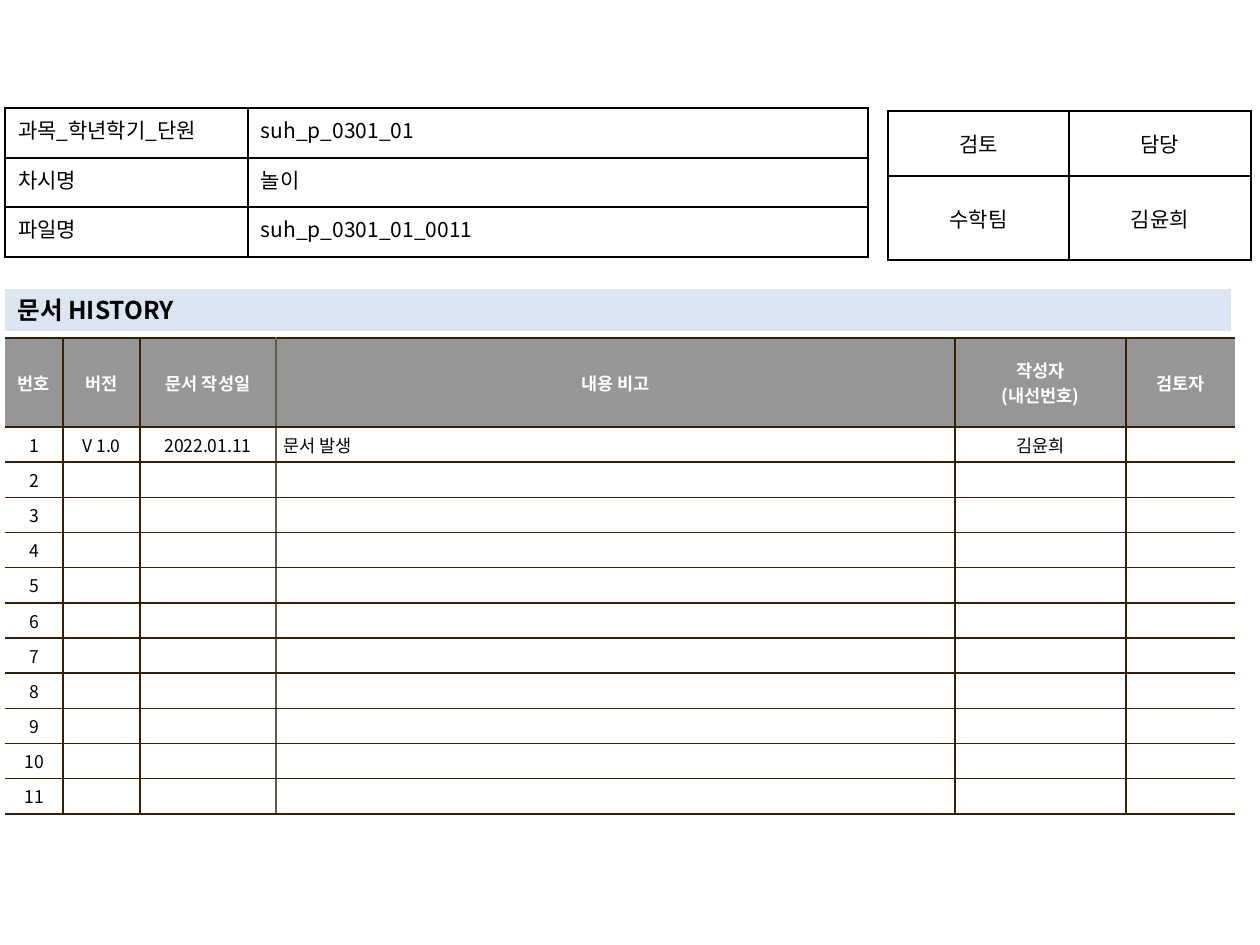
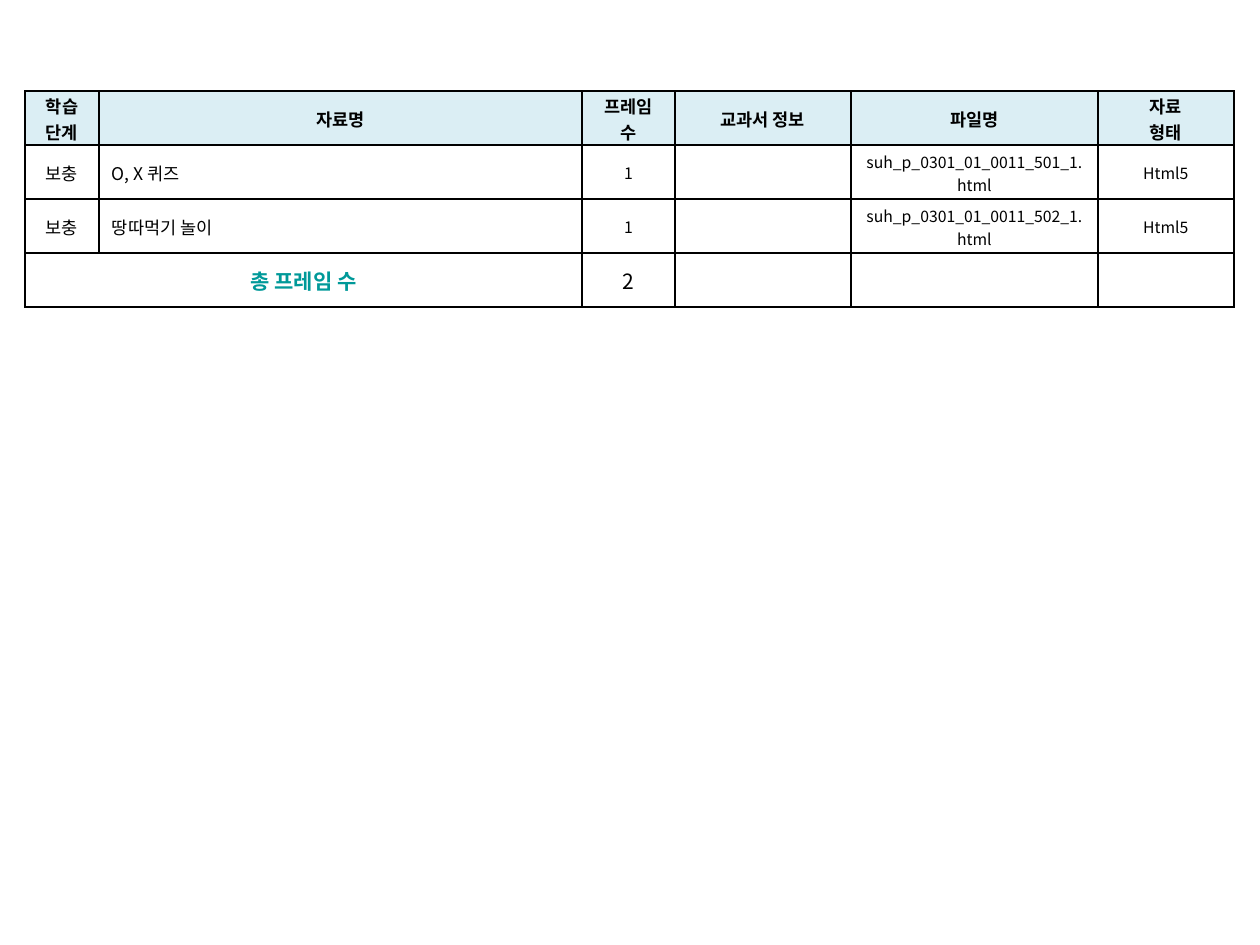
from dataclasses import dataclass, replace

from lxml import etree
from pptx import Presentation
from pptx.dml.color import RGBColor
from pptx.enum.text import MSO_ANCHOR, MSO_AUTO_SIZE, PP_ALIGN
from pptx.oxml.ns import qn
from pptx.util import Emu, Pt

LEFT, CENTER = PP_ALIGN.LEFT, PP_ALIGN.CENTER
TOP, MIDDLE = MSO_ANCHOR.TOP, MSO_ANCHOR.MIDDLE
NO_AUTOFIT = MSO_AUTO_SIZE.NONE
TITLE_ONLY, BLANK = 5, 6
EMU_PER_PX = 914400 / 126


@dataclass(frozen=True)
class Theme:
    font: str = "Noto Sans CJK KR"
    black: str = "000000"
    white: str = "FFFFFF"
    brown: str = "362000"
    taupe: str = "645B4C"
    gray: str = "969696"
    band: str = "DCE6F2"
    aqua: str = "DBEEF4"
    teal: str = "009999"
    heading: int = 14
    label: int = 12
    body: int = 10
    small: int = 9
    rule: int = 1


THEME = Theme()


@dataclass(frozen=True)
class CellStyle:
    size: int = THEME.body
    color: str = THEME.black
    bold: bool = False
    fill: str = THEME.white
    align: PP_ALIGN = CENTER
    anchor: MSO_ANCHOR = MIDDLE
    margins: tuple = (13, 6, 13, 6)


def px(n):
    return Emu(round(n * EMU_PER_PX))


def rgb(color):
    return RGBColor.from_string(color)


def format_text(tf, style):
    for p in tf.paragraphs:
        p.alignment = style.align
        for r in p.runs:
            r.font.size = Pt(style.size)
            r.font.bold = style.bold
            r.font.name = THEME.font
            r.font.color.rgb = rgb(style.color)
            etree.SubElement(r.font._element, qn("a:ea"), typeface=THEME.font)
        if not p.runs:
            etree.SubElement(p._p, qn("a:endParaRPr"), sz=str(style.size * 100))


def set_borders(cell, colors):
    tc_pr = cell._tc.get_or_add_tcPr()
    for side, color in zip("LRTB", colors):
        ln = etree.SubElement(tc_pr, qn(f"a:ln{side}"), w=str(Pt(THEME.rule)))
        if color is None:
            etree.SubElement(ln, qn("a:noFill"))
        else:
            fill = etree.SubElement(ln, qn("a:solidFill"))
            etree.SubElement(fill, qn("a:srgbClr"), val=color)


def add_grid(slide, left, top, cols, rows, texts, style_at, verticals, horizontal):
    frame = slide.shapes.add_table(len(rows), len(cols), px(left), px(top),
                                   px(sum(cols)), px(sum(rows)))
    table = frame.table
    table.first_row = table.horz_banding = False
    for col, width in zip(table.columns, cols):
        col.width = px(width)
    for row, height in zip(table.rows, rows):
        row.height = px(height)
    for i, line in enumerate(texts):
        for j, text in enumerate(line):
            cell, style = table.cell(i, j), style_at(i, j)
            set_borders(cell, (verticals[j], verticals[j + 1], horizontal, horizontal))
            cell.fill.solid()
            cell.fill.fore_color.rgb = rgb(style.fill)
            cell.vertical_anchor = style.anchor
            (cell.margin_left, cell.margin_top,
             cell.margin_right, cell.margin_bottom) = map(px, style.margins)
            cell.text_frame.text = text
            format_text(cell.text_frame, style)
    return table


def add_lesson_info(slide, left, top):
    texts = [
        ("과목_학년학기_단원", "suh_p_0301_01"),
        ("차시명", "놀이"),
        ("파일명", "suh_p_0301_01_0011"),
    ]
    style = CellStyle(size=THEME.label, align=LEFT, anchor=TOP)
    add_grid(slide, left, top, (243, 620), (50, 49, 50), texts,
             lambda i, j: style, [THEME.black] * 3, THEME.black)


def add_review_box(slide, left, top):
    texts = [("검토", "담당"), ("수학팀", "김윤희")]
    style = CellStyle(size=THEME.label)
    add_grid(slide, left, top, (181, 182), (65, 84), texts,
             lambda i, j: style, [THEME.black] * 3, THEME.black)


def add_section_title(slide, left, top, width, height):
    sp = slide.shapes.title
    sp.left, sp.top, sp.width, sp.height = map(px, (left, top, width, height))
    sp.fill.solid()
    sp.fill.fore_color.rgb = rgb(THEME.band)
    tf = sp.text_frame
    tf.text = "문서 HISTORY"
    tf.auto_size = NO_AUTOFIT
    tf.vertical_anchor = MIDDLE
    tf.margin_top = tf.margin_bottom = 0
    format_text(tf, CellStyle(size=THEME.heading, bold=True, align=LEFT))


def add_history(slide, left, top):
    cols = (58, 77, 136, 679, 171, 109)
    entries = 11
    texts = [
        ("번호", "버전", "문서 작성일", "내용 비고", "작성자\n(내선번호)", "검토자"),
        ("1", "V 1.0", "2022.01.11", "문서 발생", "김윤희", ""),
    ]
    texts += [(str(n), "", "", "", "", "") for n in range(2, entries + 1)]
    body = CellStyle(margins=(8, 5, 8, 5))
    head = replace(body, color=THEME.white, bold=True, fill=THEME.gray)
    note = replace(body, align=LEFT)
    brown = THEME.brown

    def style_at(i, j):
        if i == 0:
            return head
        return note if j == 3 else body

    add_grid(slide, left, top, cols, [89] + [35] * entries, texts, style_at,
             (None, brown, brown, THEME.taupe, brown, brown, None), brown)


def add_material_list(slide, left, top):
    cols = (74, 483, 93, 176, 247, 136)
    texts = [
        ("학습 단계", "자료명", "프레임 수", "교과서 정보", "파일명", "자료\n형태"),
        ("보충", "O, X 퀴즈", "1", "", "suh_p_0301_01_0011_501_1.html", "Html5"),
        ("보충", "땅따먹기 놀이", "1", "", "suh_p_0301_01_0011_502_1.html", "Html5"),
        ("총 프레임 수", "", "2", "", "", ""),
    ]
    body = CellStyle(margins=(13, 2, 13, 0))
    head = replace(body, bold=True, fill=THEME.aqua)
    name = replace(body, align=LEFT)
    detail = replace(body, size=THEME.small)
    total = replace(body, size=THEME.label)
    total_label = replace(total, color=THEME.teal, bold=True)
    last = len(texts) - 1

    def style_at(i, j):
        if i == 0:
            return head
        if i == last:
            return total_label if j == 0 else total
        return (body, name)[j] if j < 2 else detail

    table = add_grid(slide, left, top, cols, [54] * len(texts), texts, style_at,
                     [THEME.black] * (len(cols) + 1), THEME.black)
    table.cell(last, 0).merge(table.cell(last, 1))


def build_history_slide(prs):
    slide = prs.slides.add_slide(prs.slide_layouts[TITLE_ONLY])
    add_section_title(slide, 5, 289, 1226, 42)
    add_history(slide, 5, 338)
    add_review_box(slide, 888, 111)
    add_lesson_info(slide, 5, 108)


def build_material_slide(prs):
    slide = prs.slides.add_slide(prs.slide_layouts[BLANK])
    add_material_list(slide, 25, 91)


def main():
    prs = Presentation()
    prs.slide_width, prs.slide_height = px(1260), px(945)
    build_history_slide(prs)
    build_material_slide(prs)
    prs.save("out.pptx")


if __name__ == "__main__":
    main()
